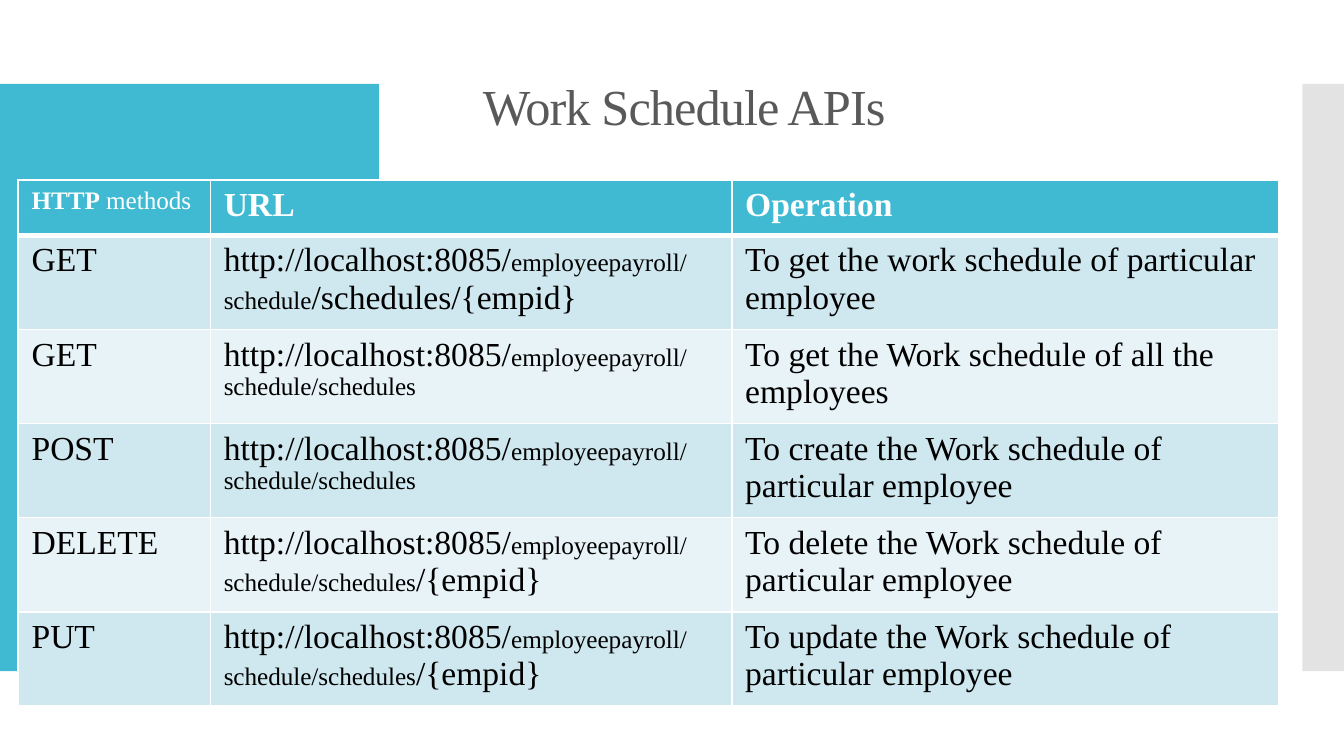
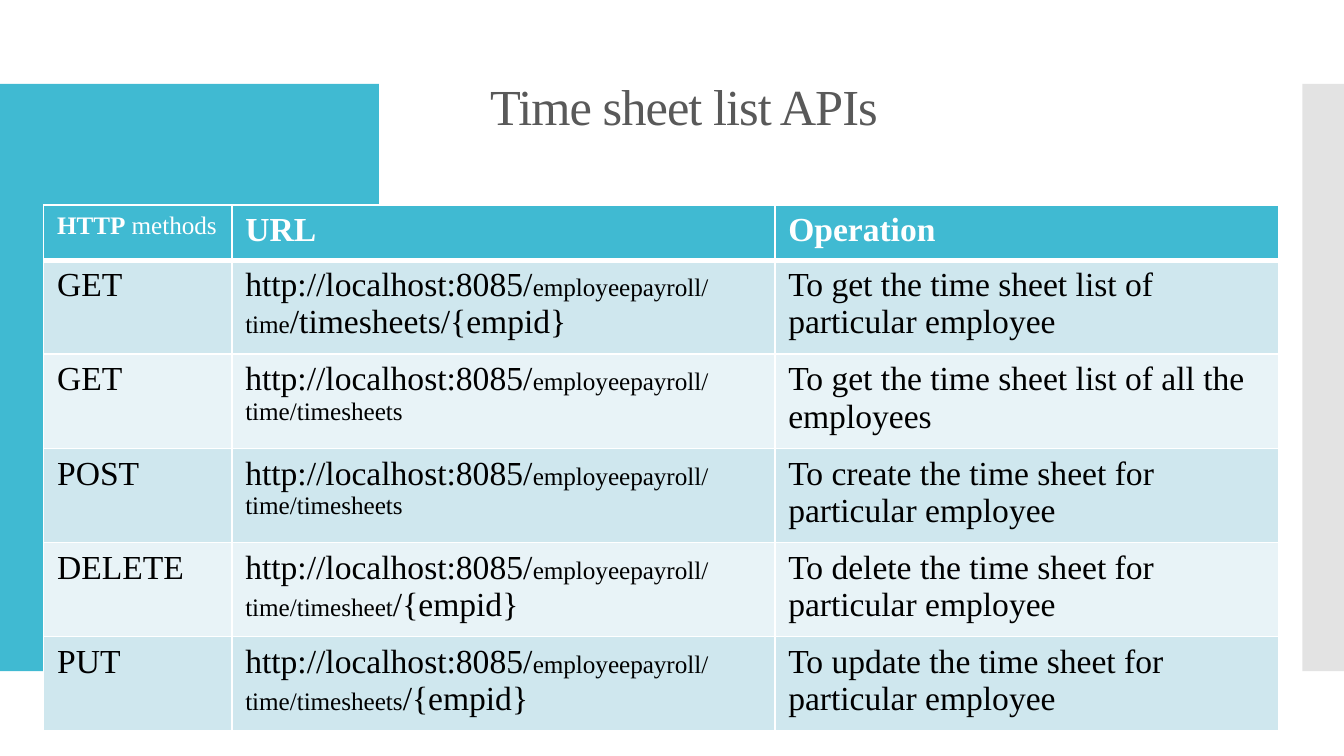
from dataclasses import dataclass
from typing import Any, NamedTuple

from lxml.etree import SubElement
from pptx import Presentation
from pptx.dml.color import RGBColor
from pptx.enum.shapes import MSO_SHAPE
from pptx.enum.text import MSO_ANCHOR, PP_ALIGN
from pptx.oxml.ns import qn
from pptx.util import Inches, Pt

SLIDE_WIDTH = Inches(10)
SLIDE_HEIGHT = SLIDE_WIDTH * 9 // 16
GRID_COLUMNS, GRID_ROWS = 100, 56.25
FONT_NAME = "Times New Roman"
WHITE, BLACK, TEAL, GREY, TITLE_GREY = "FFFFFF", "000000", "40BAD2", "C8C8C8", "595959"
ROW_FILLS = ("CFE7EE", "E8F3F7")
LARGE, SMALL = 18, 13.5
ROW_HEIGHT = 4.1
THIN_BORDER, THICK_BORDER = 1, 3
HOST = "http://localhost:8085/"


class Box(NamedTuple):
    left: float
    top: float
    width: float
    height: float


class Band(NamedTuple):
    box: Box
    fill: str
    opacity: int


class Span(NamedTuple):
    text: str
    size: float = LARGE
    bold: bool = False


class Endpoint(NamedTuple):
    method: str
    route: str
    suffix: str
    operation: str


@dataclass
class ApiPage:
    title: str
    table_box: Box
    column_widths: tuple[float, ...]
    endpoints: tuple[Endpoint, ...]


BANDS = (
    Band(Box(0, 6.25, 28.2, 43.7), TEAL, 100),
    Band(Box(96.9, 6.25, 3.15, 43.7), GREY, 50),
)
TITLE_BOX = Box(6.6, 4.6, 88.6, 6.3)
HEADER = (
    (Span("HTTP", SMALL, True), Span(" methods", SMALL)),
    (Span("URL", bold=True),),
    (Span("Operation", bold=True),),
)
PAGES = (
    ApiPage("Work Schedule APIs", Box(1.35, 13.4, 93.8, 31.6), (14.3, 38.8, 40.7), (
        Endpoint("GET", "employeepayroll/schedule", "/schedules/{empid}",
                 "To get the work schedule of particular employee"),
        Endpoint("GET", "employeepayroll/schedule/schedules", "",
                 "To get the Work schedule of all the employees"),
        Endpoint("POST", "employeepayroll/schedule/schedules", "",
                 "To create the Work schedule of particular employee"),
        Endpoint("DELETE", "employeepayroll/schedule/schedules", "/{empid}",
                 "To delete the Work schedule of particular employee"),
        Endpoint("PUT", "employeepayroll/schedule/schedules", "/{empid}",
                 "To update the Work schedule of particular employee"),
    )),
    ApiPage("Time sheet list APIs", Box(3.25, 15.25, 91.9, 33), (14, 40.4, 37.5), (
        Endpoint("GET", "employeepayroll/time", "/timesheets/{empid}",
                 "To get the time sheet list of particular employee"),
        Endpoint("GET", "employeepayroll/time/timesheets", "",
                 "To get the time sheet list of all the employees"),
        Endpoint("POST", "employeepayroll/time/timesheets", "",
                 "To create the time sheet for particular employee"),
        Endpoint("DELETE", "employeepayroll/time/timesheet", "/{empid}",
                 "To delete the time sheet for particular employee"),
        Endpoint("PUT", "employeepayroll/time/timesheets", "/{empid}",
                 "To update the time sheet for particular employee"),
    )),
)


def columns(count: float) -> int:
    return round(SLIDE_WIDTH * count / GRID_COLUMNS)


def rows(count: float) -> int:
    return round(SLIDE_HEIGHT * count / GRID_ROWS)


def place(box: Box) -> tuple[int, int, int, int]:
    return columns(box.left), rows(box.top), columns(box.width), rows(box.height)


def color(value: str) -> RGBColor:
    return RGBColor.from_string(value)


def apply_format(target: Any, values: dict[str, Any]) -> None:
    for name, value in values.items():
        setattr(target, name, value)


def paint(target: Any, value: str) -> None:
    target.fill.solid()
    target.fill.fore_color.rgb = color(value)


def add_span(paragraph: Any, span: Span, text_color: str) -> Any:
    run = paragraph.add_run()
    run.text = span.text
    apply_format(run.font, {"name": FONT_NAME, "size": Pt(span.size), "bold": span.bold})
    run.font.color.rgb = color(text_color)
    return run


def add_band(slide: Any, band: Band) -> None:
    shape = slide.shapes.add_shape(MSO_SHAPE.RECTANGLE, *place(band.box))
    shape.shadow.inherit = False
    shape.line.fill.background()
    paint(shape, band.fill)
    if band.opacity < 100:
        fill_color = next(shape.element.spPr.iter(qn("a:srgbClr")))
        SubElement(fill_color, qn("a:alpha"), val=str(band.opacity * 1000))


def add_title(slide: Any, title: str) -> None:
    frame = slide.shapes.add_textbox(*place(TITLE_BOX)).text_frame
    apply_format(frame, {
        "word_wrap": True,
        "vertical_anchor": MSO_ANCHOR.BOTTOM,
        "margin_left": columns(1),
        "margin_right": columns(1),
        "margin_top": rows(1),
        "margin_bottom": rows(0.8),
    })
    paragraph = frame.paragraphs[0]
    paragraph.alignment = PP_ALIGN.CENTER
    run = add_span(paragraph, Span(title, 27), TITLE_GREY)
    run._r.get_or_add_rPr().set("spc", "-50")


def add_borders(cell: Any, top: float, bottom: float) -> None:
    properties = cell._tc.get_or_add_tcPr()
    edges = {"lnL": THIN_BORDER, "lnR": THIN_BORDER, "lnT": top, "lnB": bottom}
    for edge, width in edges.items():
        line = SubElement(properties, qn(f"a:{edge}"), w=str(Pt(width)))
        fill = SubElement(line, qn("a:solidFill"))
        SubElement(fill, qn("a:srgbClr"), val=WHITE)


def endpoint_cells(endpoint: Endpoint) -> tuple[tuple[Span, ...], ...]:
    address = (Span(HOST), Span(endpoint.route, SMALL), Span(endpoint.suffix))
    return (
        (Span(endpoint.method),),
        tuple(span for span in address if span.text),
        (Span(endpoint.operation),),
    )


def add_endpoint_table(slide: Any, page: ApiPage) -> None:
    contents = (HEADER, *map(endpoint_cells, page.endpoints))
    graphic_frame = slide.shapes.add_table(len(contents), len(HEADER), *place(page.table_box))
    table = graphic_frame.table
    for column, width in zip(table.columns, page.column_widths):
        column.width = columns(width)
    for row in table.rows:
        row.height = rows(ROW_HEIGHT)
    graphic_frame.height = rows(page.table_box.height)
    for row_index, row_cells in enumerate(contents):
        is_header = row_index == 0
        fill = TEAL if is_header else ROW_FILLS[(row_index - 1) % 2]
        top = THICK_BORDER if row_index == 1 else THIN_BORDER
        bottom = THICK_BORDER if is_header else THIN_BORDER
        for column_index, spans in enumerate(row_cells):
            cell = table.cell(row_index, column_index)
            add_borders(cell, top, bottom)
            paint(cell, fill)
            for span in spans:
                add_span(cell.text_frame.paragraphs[0], span, WHITE if is_header else BLACK)


def main() -> None:
    presentation = Presentation()
    apply_format(presentation, {"slide_width": SLIDE_WIDTH, "slide_height": SLIDE_HEIGHT})
    for page in PAGES:
        slide = presentation.slides.add_slide(presentation.slide_layouts[6])
        for band in BANDS:
            add_band(slide, band)
        add_title(slide, page.title)
        add_endpoint_table(slide, page)
    presentation.save("out.pptx")


if __name__ == "__main__":
    main()
